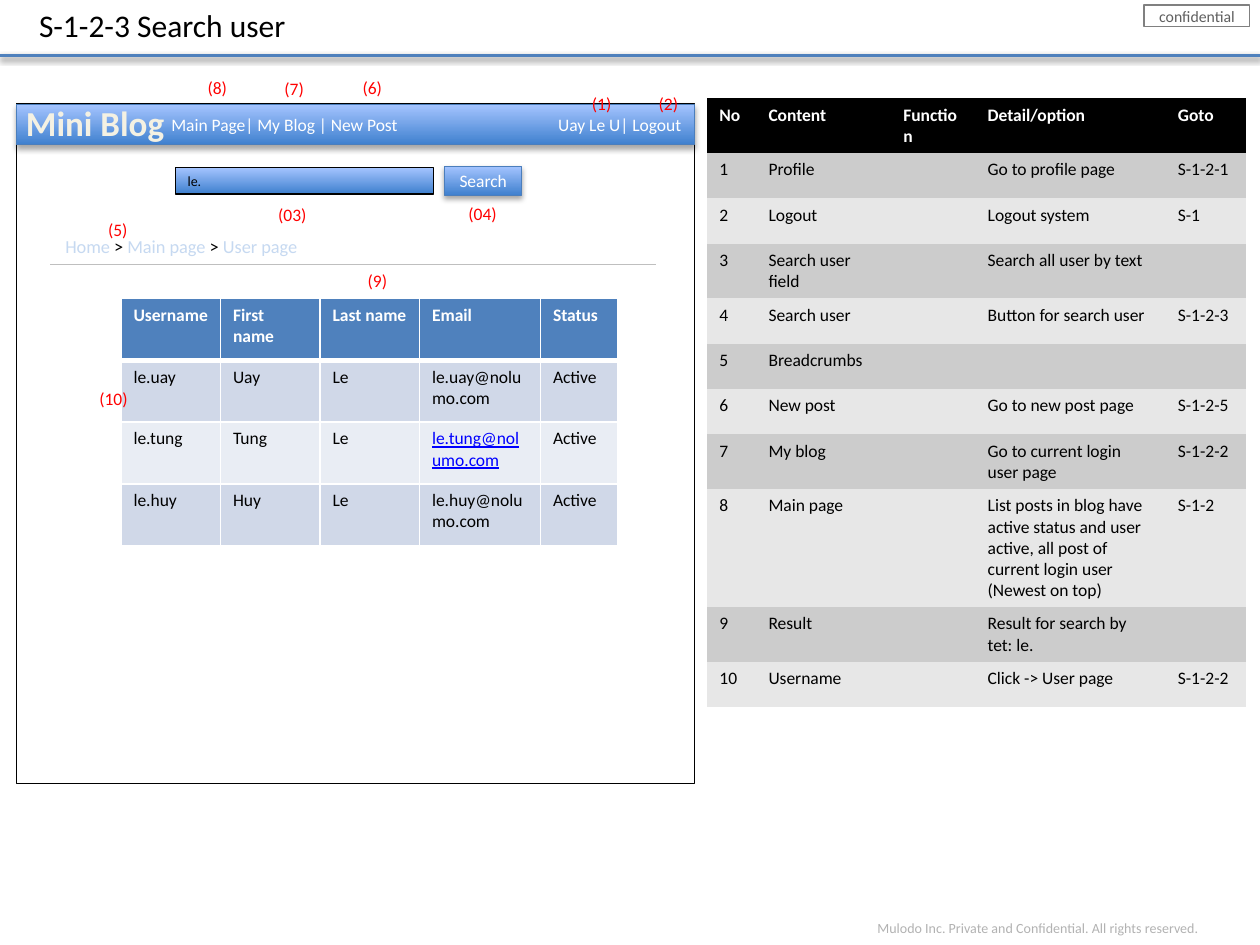
import lxml.etree
import pptx
import pptx.dml.color
import pptx.enum.shapes
import pptx.enum.text
import pptx.oxml.ns
import pptx.util

RGBColor = pptx.dml.color.RGBColor
ALIGN = pptx.enum.text.PP_ALIGN
ANCHOR = pptx.enum.text.MSO_ANCHOR
qn = pptx.oxml.ns.qn

BLACK = RGBColor(0x00, 0x00, 0x00)
WHITE = RGBColor(0xFF, 0xFF, 0xFF)
RED = RGBColor(0xFF, 0x00, 0x00)
LINK = RGBColor(0x00, 0x00, 0xFF)
BLUE = RGBColor(0x4F, 0x81, 0xBD)
EDGE = RGBColor(0x4B, 0x7E, 0xBC)
DEEP = RGBColor(0x3F, 0x80, 0xCE)
LIGHT = RGBColor(0xA4, 0xC4, 0xFF)
PALE = RGBColor(0xC6, 0xD9, 0xF1)
CREAM = RGBColor(0xF4, 0xF1, 0xE3)
NAVY = RGBColor(0x05, 0x46, 0x97)
RULE = RGBColor(0xBF, 0xBF, 0xBF)
STAMP_EDGE = RGBColor(0x80, 0x80, 0x80)
STAMP_TEXT = RGBColor(0x5F, 0x5F, 0x5F)
FOOTER = RGBColor(0xB2, 0xB2, 0xB2)
GREY_BANDS = (RGBColor(0xCC, 0xCC, 0xCC), RGBColor(0xE7, 0xE7, 0xE7))
BLUE_BANDS = (RGBColor(0xD0, 0xD8, 0xE8), RGBColor(0xE9, 0xED, 0xF4))
PLAIN_TABLE = "{2D5ABB26-0587-4C30-8999-92F81FD0307C}"


class Screen:
    font = "Calibri"
    columns, rows = 100, 75

    def __init__(self, deck):
        self.cell = deck.slide_width / self.columns
        self.slide = deck.slides.add_slide(deck.slide_layouts[5])
        self.shapes = self.slide.shapes

    def grid(self, *units):
        return [pptx.util.Emu(round(unit * self.cell)) for unit in units]

    def style(self, para, size, color, bold=False, align=ALIGN.LEFT):
        para.alignment = align
        for span in para.runs:
            span.font.name, span.font.size = self.font, pptx.util.Pt(size)
            span.font.bold, span.font.color.rgb = bold, color

    def effects(self, shape, alpha=0, distance=0):
        properties = shape._element.spPr
        effects = properties.find(qn("a:effectLst"))
        if effects is None:
            effects = lxml.etree.SubElement(properties, qn("a:effectLst"))
        if alpha:
            shadow = lxml.etree.SubElement(
                effects, qn("a:outerShdw"), blurRad=str(pptx.util.Pt(3.1)),
                dist=str(pptx.util.Pt(distance)), dir="5400000", rotWithShape="0")
            color = lxml.etree.SubElement(shadow, qn("a:srgbClr"), val=str(BLACK))
            lxml.etree.SubElement(color, qn("a:alpha"), val=str(alpha * 1000))

    def title(self, text, place):
        box = self.shapes.title
        box.left, box.top, box.width, box.height = self.grid(*place)
        frame = box.text_frame
        frame.text = text
        frame.auto_size = pptx.enum.text.MSO_AUTO_SIZE.NONE
        frame.vertical_anchor = ANCHOR.TOP
        self.style(frame.paragraphs[0], 18, BLACK)

    def line(self, start, end, color, width, alpha=0):
        line = self.shapes.add_connector(
            pptx.enum.shapes.MSO_CONNECTOR.STRAIGHT, *self.grid(*start, *end))
        line.line.color.rgb, line.line.width = color, pptx.util.Pt(width)
        self.effects(line, alpha, 1.6)

    def box(self, place, edge, text="", size=10, color=WHITE, align=ALIGN.CENTER,
            gradient=False, shadow=False, wrap=True):
        box = self.shapes.add_shape(
            pptx.enum.shapes.MSO_SHAPE.RECTANGLE, *self.grid(*place))
        box.shadow.inherit = False
        if gradient:
            box.fill.gradient()
            box.fill.gradient_angle = 90
            for stop, shade in zip(box.fill.gradient_stops, (DEEP, LIGHT)):
                stop.color.rgb = shade
        else:
            box.fill.solid()
            box.fill.fore_color.rgb = WHITE
        box.line.color.rgb, box.line.width = edge, pptx.util.Pt(0.75)
        if shadow:
            self.effects(box, 35, 1.8)
        frame = box.text_frame
        frame.text, frame.word_wrap = text, wrap
        frame.vertical_anchor = ANCHOR.MIDDLE
        self.style(frame.paragraphs[0], size, color, align=align)
        return box

    def text(self, place, words, size, color, bold=False, align=ALIGN.LEFT):
        frame = self.shapes.add_textbox(*self.grid(*place)).text_frame
        frame.text, frame.word_wrap = words, False
        frame.auto_size = pptx.enum.text.MSO_AUTO_SIZE.SHAPE_TO_FIT_TEXT
        para = frame.paragraphs[0]
        self.style(para, size, color, bold, align)
        return para

    def border(self, cell, side, width):
        line = lxml.etree.Element(qn(f"a:ln{side}"), w=str(pptx.util.Pt(width)))
        fill = lxml.etree.SubElement(line, qn("a:solidFill"))
        lxml.etree.SubElement(fill, qn("a:srgbClr"), val=str(WHITE))
        properties = cell._tc.get_or_add_tcPr()
        properties.insert("LRTB".index(side), line)

    def table(self, place, widths, height, records, head, bands, bordered=False):
        total = (sum(widths), height * len(records))
        table = self.shapes.add_table(
            len(records), len(widths), *self.grid(*place, *total)).table
        table._tbl.tblPr.find(qn("a:tableStyleId")).text = PLAIN_TABLE
        for column, width in zip(table.columns, self.grid(*widths)):
            column.width = width
        for number, record in enumerate(records):
            table.rows[number].height = self.grid(height)[0]
            for index, words in enumerate(record):
                cell = table.cell(number, index)
                cell.fill.solid()
                cell.fill.fore_color.rgb = bands[(number - 1) % 2] if number else head
                para = cell.text_frame.paragraphs[0]
                if words:
                    para.text = words
                    self.style(para, 10, BLACK if number else WHITE, not number)
                else:
                    lxml.etree.SubElement(para._p, qn("a:endParaRPr"), sz="1000")
                if bordered:
                    for side in "LRTB":
                        heavy = (number, side) in ((0, "B"), (1, "T"))
                        self.border(cell, side, 3 if heavy else 1)
        return table


def main():
    deck = pptx.Presentation()
    deck.slide_width, deck.slide_height = pptx.util.Inches(10), pptx.util.Inches(7.5)
    screen = Screen(deck)

    screen.box((90.8, 0.4, 8.4, 1.7), STAMP_EDGE, "confidential", 9, STAMP_TEXT, wrap=False)
    screen.text((68.6, 72.5, 27.6, 2.4),
                "Mulodo Inc. Private and Confidential. All rights reserved.",
                8, FOOTER, align=ALIGN.CENTER)
    screen.line((0, 4.4), (100, 4.4), BLUE, 2, alpha=38)
    screen.title("S-1-2-3 Search user", (2.1, 0, 30, 4))

    screen.box((1.3, 8.2, 53.8, 54), BLACK)
    screen.box((13.9, 13.3, 20.5, 2.1), BLACK, "le.", 8, BLACK, ALIGN.LEFT, gradient=True)
    screen.box((35.3, 13.2, 6.1, 2.3), EDGE, "Search", gradient=True, shadow=True)
    screen.line((4, 21), (52.1, 21), RULE, 0.25)

    trail = screen.text((4.2, 18.2, 21.1, 2.8), "Home ", 10.5, PALE)
    for words in ("> ", "Main page ", "> ", "User page"):
        trail.add_run().text = words
    screen.style(trail, 10.5, PALE)
    for span in trail.runs[1::2]:
        span.font.color.rgb = BLACK

    bar = screen.box((1.3, 8.3, 53.8, 3.2), EDGE,
                     "Main Page| My Blog | New Post\tUay Le U| Logout",
                     align=ALIGN.LEFT, gradient=True, shadow=True)
    bar.text_frame.margin_left = screen.grid(12.3)[0]
    properties = bar.text_frame.paragraphs[0]._p.get_or_add_pPr()
    tabs = lxml.etree.SubElement(properties, qn("a:tabLst"))
    lxml.etree.SubElement(tabs, qn("a:tab"), pos=str(screen.grid(30.7)[0]), algn="l")

    brand = screen.text((1, 7.6, 13.1, 4.4), "Mini Blog", 20, CREAM, True, ALIGN.CENTER)
    outline = lxml.etree.Element(qn("a:ln"), w=str(pptx.util.Pt(1)))
    fill = lxml.etree.SubElement(outline, qn("a:solidFill"))
    lxml.etree.SubElement(fill, qn("a:srgbClr"), val=str(NAVY))
    brand.runs[0].font._element.insert(0, outline)

    screen.table((56.1, 7.8), (3.9, 10.7, 6.7, 15.1, 6.4), 3.6, (
        ("No", "Content", "Function", "Detail/option", "Goto"),
        ("1", "Profile", "", "Go to profile page", "S-1-2-1"),
        ("2", "Logout", "", "Logout system", "S-1"),
        ("3", "Search user field", "", "Search all user by text", ""),
        ("4", "Search user", "", "Button for search user", "S-1-2-3"),
        ("5", "Breadcrumbs", "", "", ""),
        ("6", "New post", "", "Go to new post page", "S-1-2-5"),
        ("7", "My blog", "", "Go to current login user page", "S-1-2-2"),
        ("8", "Main page", "", "List posts in blog have active status and user active, "
         "all post of current login user (Newest on top)", "S-1-2"),
        ("9", "Result", "", "Result for search by tet: le.", ""),
        ("10", "Username", "", "Click -> User page", "S-1-2-2"),
    ), BLACK, GREY_BANDS)

    users = screen.table((9.6, 23.7), (7.9, 7.9, 7.9, 9.6, 6.1), 4.9, (
        ("Username", "First name", "Last name", "Email", "Status"),
        ("le.uay", "Uay", "Le", "le.uay@nolumo.com", "Active"),
        ("le.tung", "Tung", "Le", "le.tung@nolumo.com", "Active"),
        ("le.huy", "Huy", "Le", "le.huy@nolumo.com", "Active"),
    ), BLUE, BLUE_BANDS, bordered=True)
    email = users.cell(2, 3).text_frame.paragraphs[0].runs[0]
    email.font.color.rgb, email.font.underline = LINK, True

    for mark, left, top in (
            ("5", 7.6, 16.9), ("8", 15.5, 5.6), ("7", 21.6, 5.7), ("6", 27.8, 5.6),
            ("03", 21.1, 15.7), ("1", 46, 6.9), ("2", 51.3, 6.9), ("04", 36.2, 15.6),
            ("9", 28.2, 20.9), ("10", 6.9, 30.3)):
        screen.text((left, top, 2.9 + 0.7 * len(mark), 2.7), f"({mark})", 10, RED)

    deck.save("out.pptx")


if __name__ == "__main__":
    main()
